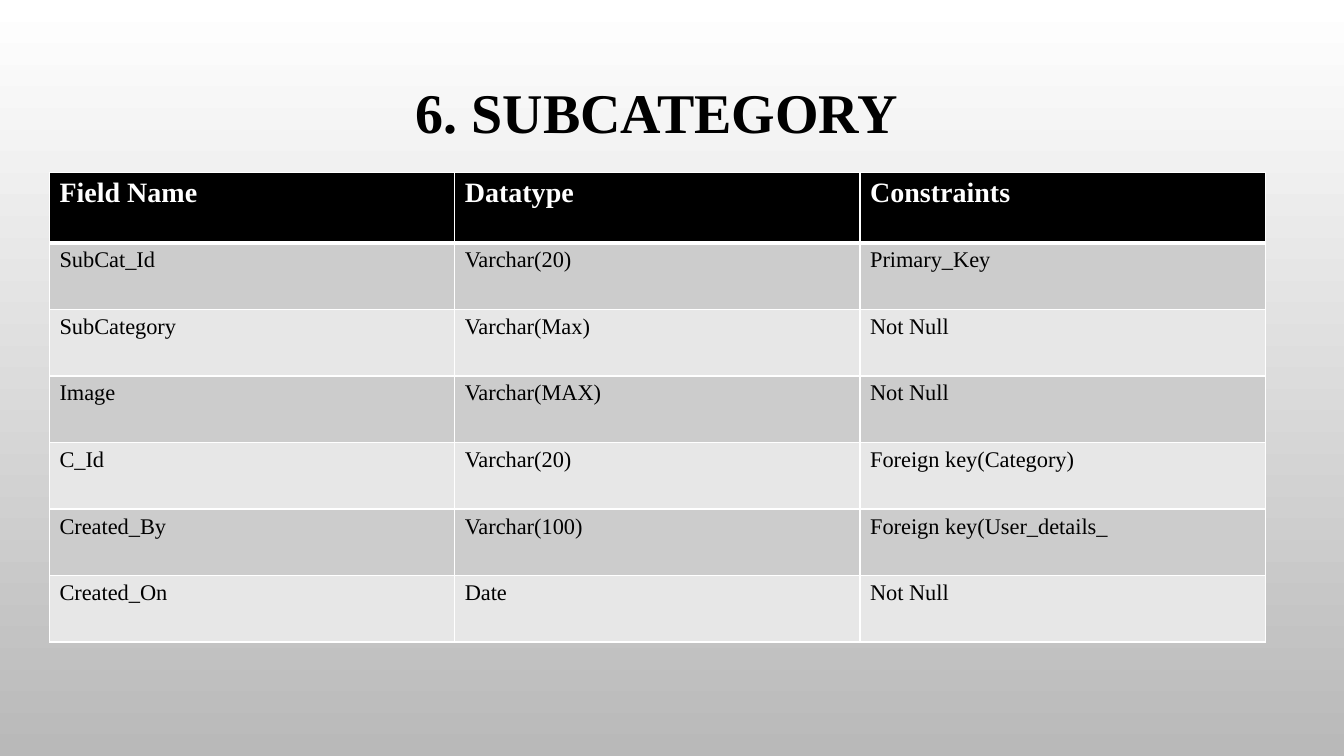
from dataclasses import dataclass

from lxml import etree
from pptx import Presentation
from pptx.dml.color import RGBColor
from pptx.enum.text import MSO_ANCHOR, PP_ALIGN
from pptx.oxml.ns import qn
from pptx.util import Inches, Pt

CENTER = PP_ALIGN.CENTER
LEFT = PP_ALIGN.LEFT
MIDDLE = MSO_ANCHOR.MIDDLE
BLANK_LAYOUT = 6


@dataclass(frozen=True)
class Theme:
    """Colours, type sizes and line widths of the slide."""
    font: str = "Times New Roman"
    black: str = "000000"
    white: str = "FFFFFF"
    background_end: str = "B9B9B9"
    bands: tuple = ("CCCCCC", "E7E7E7")
    title_size: int = 40
    header_size: int = 20
    body_size: int = 16
    thin_border: int = 1
    thick_border: int = 3


THEME = Theme()
FIELDS = [
    ("Field Name", "Datatype", "Constraints"),
    ("SubCat_Id", "Varchar(20)", "Primary_Key"),
    ("SubCategory", "Varchar(Max)", "Not Null"),
    ("Image", "Varchar(MAX)", "Not Null"),
    ("C_Id", "Varchar(20)", "Foreign key(Category)"),
    ("Created_By", "Varchar(100)", "Foreign key(User_details_"),
    ("Created_On", "Date", "Not Null"),
]


def write_text(text_frame, text, *, size, color=THEME.black, bold=False,
               align=LEFT, line_spacing=1.0):
    """Write one formatted paragraph into a text frame."""
    paragraph = text_frame.paragraphs[0]
    paragraph.alignment = align
    paragraph.line_spacing = line_spacing
    run = paragraph.add_run()
    run.text = text
    run.font.name = THEME.font
    run.font.size = Pt(size)
    run.font.bold = bold
    run.font.color.rgb = RGBColor.from_string(color)


def paint_background(slide):
    """Fill the slide with a gradient from top to bottom."""
    fill = slide.background.fill
    fill.gradient()
    fill.gradient_angle = 270
    for stop, position, color in zip(fill.gradient_stops, (0, 1),
                                     (THEME.white, THEME.background_end)):
        stop.position = position
        stop.color.rgb = RGBColor.from_string(color)


def add_title(slide, text):
    """Add the centred slide title."""
    box = slide.shapes.add_textbox(Inches(0.85), Inches(0.27), Inches(11.33), Inches(1.75))
    box.text_frame.word_wrap = True
    box.text_frame.vertical_anchor = MIDDLE
    write_text(box.text_frame, text, size=THEME.title_size, bold=True,
               align=CENTER, line_spacing=0.9)


def set_border(cell, side, width):
    """Draw a white border on one side of a cell."""
    line = etree.SubElement(cell._tc.get_or_add_tcPr(), qn(f"a:ln{side}"), w=str(Pt(width)))
    fill = etree.SubElement(line, qn("a:solidFill"))
    etree.SubElement(fill, qn("a:srgbClr"), val=THEME.white)


def format_cell(cell, text, row):
    """Give a cell its borders, fill and text according to its row."""
    is_header = row == 0
    thick_side = {0: "B", 1: "T"}.get(row)
    for side in "LRTB":
        set_border(cell, side, THEME.thick_border if side == thick_side else THEME.thin_border)
    cell.fill.solid()
    color = THEME.black if is_header else THEME.bands[(row - 1) % 2]
    cell.fill.fore_color.rgb = RGBColor.from_string(color)
    write_text(cell.text_frame, text, bold=is_header,
               size=THEME.header_size if is_header else THEME.body_size,
               color=THEME.white if is_header else THEME.black)


def add_field_table(slide, records):
    """Add the table of fields, with a header row and banded body rows."""
    frame = slide.shapes.add_table(len(records), len(records[0]), Inches(0.49),
                                   Inches(1.71), Inches(12.06), Inches(4.66))
    table = frame.table
    for row, record in enumerate(records):
        table.rows[row].height = Inches(0.66 if row else 0.7)
        for column, text in enumerate(record):
            format_cell(table.cell(row, column), text, row)


def main():
    """Build the slide and save it."""
    presentation = Presentation()
    presentation.slide_width = Inches(13.33)
    presentation.slide_height = Inches(7.5)
    slide = presentation.slides.add_slide(presentation.slide_layouts[BLANK_LAYOUT])
    paint_background(slide)
    add_title(slide, "6. SUBCATEGORY")
    add_field_table(slide, FIELDS)
    presentation.save("out.pptx")


if __name__ == "__main__":
    main()
